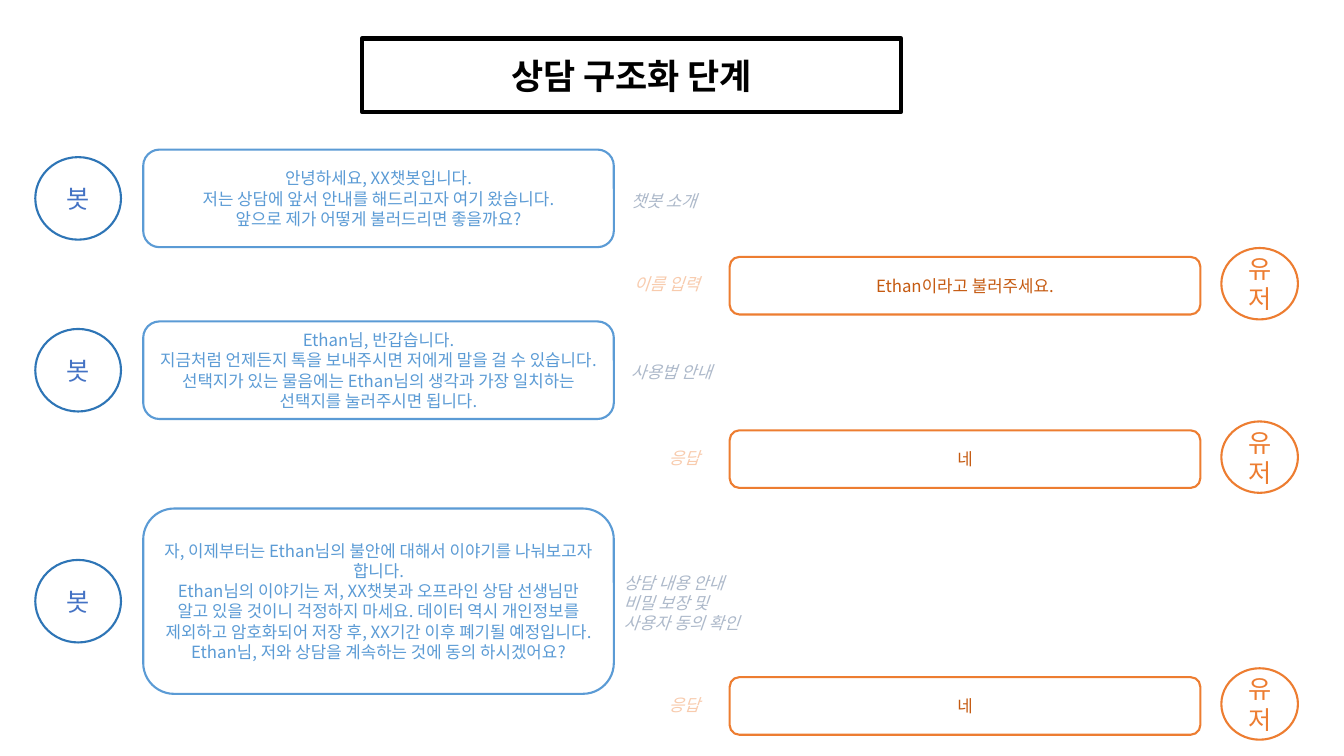
"""Builds a slide showing the opening turns of a counselling chatbot."""
from dataclasses import dataclass

from lxml.etree import SubElement
from pptx import Presentation
from pptx.dml.color import RGBColor
from pptx.enum.shapes import MSO_SHAPE as SHAPE
from pptx.enum.text import MSO_ANCHOR as ANCHOR, MSO_AUTO_SIZE as AUTO, PP_ALIGN as ALIGN
from pptx.oxml.ns import qn
from pptx.util import Cm, Pt

FONT = "Noto Sans CJK KR"
BLACK = RGBColor(0x00, 0x00, 0x00)
WHITE = RGBColor(0xFF, 0xFF, 0xFF)
BLUE = RGBColor(0x5B, 0x9B, 0xD5)
DARK_BLUE = RGBColor(0x2E, 0x75, 0xB6)
INDIGO = RGBColor(0x44, 0x72, 0xC4)
GREY = RGBColor(0xAD, 0xB9, 0xCA)
ORANGE = RGBColor(0xED, 0x7D, 0x31)
RUST = RGBColor(0xC5, 0x5A, 0x11)
PEACH = RGBColor(0xF8, 0xCB, 0xAD)


@dataclass
class Speaker:
    """Column places in centimetres and colours of one side of the chat."""
    name: str
    bubble_left: float
    badge_box: tuple
    badge_shift: float
    note_shift: float
    note_align: ALIGN
    bubble_fill: RGBColor | None
    bubble_line: RGBColor
    bubble_text: RGBColor
    badge_line: RGBColor
    badge_text: RGBColor
    note_text: RGBColor


BOT = Speaker("봇", 3.61, (0.89, 2.16, 2.08), 0, 0.05, ALIGN.LEFT,
              None, BLUE, BLUE, DARK_BLUE, INDIGO, GREY)
USER = Speaker("유저", 18.39, (30.78, 1.93, 1.8), -0.05, -0.04, ALIGN.RIGHT,
               WHITE, ORANGE, RUST, ORANGE, ORANGE, PEACH)
BUBBLE_WIDTH = 11.86
NOTE_WIDTH = 3.96

TURNS = [
    (BOT, 5, 2.46,
     ["안녕하세요, XX챗봇입니다.\n저는 상담에 앞서 안내를 해드리고자 여기 왔습니다.\n"
      "앞으로 제가 어떻게 불러드리면 좋을까요?"],
     15.65, 0.76, ["챗봇 소개"]),
    (BOT, 9.33, 2.46,
     ["Ethan님, 반갑습니다.\n지금처럼 언제든지 톡을 보내주시면 저에게 말을 걸 수 있습니다. "
      "선택지가 있는 물음에는 Ethan님의 생각과 가장 일치하는 선택지를 눌러주시면 됩니다."],
     15.65, 0.76, ["사용법 안내"]),
    (USER, 7.2, 1.45, ["Ethan이라고 불러주세요."], 13.92, 0.76, ["이름 입력"]),
    (USER, 11.57, 1.45, ["네"], 13.92, 0.76, ["응답"]),
    (BOT, 15.15, 4.67,
     ["자, 이제부터는 Ethan님의 불안에 대해서 이야기를 나눠보고자 합니다.",
      "Ethan님의 이야기는 저, XX챗봇과 오프라인 상담 선생님만 알고 있을 것이니 걱정하지 마세요. "
      "데이터 역시 개인정보를 제외하고 암호화되어 저장 후, XX기간 이후 폐기될 예정입니다. "
      "Ethan님, 저와 상담을 계속하는 것에 동의 하시겠어요?"],
     15.47, 1.8, ["상담 내용 안내", "비밀 보장 및", "사용자 동의 확인"]),
    (USER, 17.79, 1.45, ["네"], 13.92, 0.76, ["응답"]),
]


def write(sp, paragraphs, size, color, align=ALIGN.CENTER, bold=False, italic=False):
    """Fill a shape with paragraphs, where a newline is a line break."""
    tf = sp.text_frame
    tf.word_wrap = True
    for i, text in enumerate(paragraphs):
        p = tf.add_paragraph() if i else tf.paragraphs[0]
        p.alignment = align
        for j, line in enumerate(text.split("\n")):
            if j:
                p.add_line_break()
            r = p.add_run()
            r.text = line
            r.font.name = FONT
            r.font.size = Pt(size)
            r.font.bold = bold
            r.font.italic = italic
            r.font.color.rgb = color
            SubElement(r.font._element, qn("a:ea"), typeface=FONT)


def add_title(slide, text):
    """Format the title placeholder as a framed heading."""
    sp = slide.shapes.title
    sp.left, sp.top, sp.width, sp.height = Cm(9.12), Cm(0.97), Cm(13.59), Cm(1.85)
    geom = SubElement(sp._element.spPr, qn("a:prstGeom"), prst="roundRect")
    SubElement(geom, qn("a:avLst"))
    sp.line.color.rgb = BLACK
    sp.line.width = Pt(3)
    sp.text_frame.vertical_anchor = ANCHOR.MIDDLE
    write(sp, [text], 25, BLACK, bold=True)


def add_outline(slide, kind, left, middle, width, height, line, fill=None):
    """Add an outlined shape centred vertically on middle."""
    sp = slide.shapes.add_shape(kind, Cm(left), Cm(middle - height / 2), Cm(width), Cm(height))
    sp.shadow.inherit = False
    if fill is None:
        sp.fill.background()
    else:
        sp.fill.solid()
        sp.fill.fore_color.rgb = fill
    sp.line.color.rgb = line
    sp.line.width = Pt(1.5)
    sp.text_frame.vertical_anchor = ANCHOR.MIDDLE
    return sp


def add_note(slide, left, middle, height, paragraphs, color, align):
    """Add the italic label beside a bubble."""
    sp = slide.shapes.add_textbox(Cm(left), Cm(middle - height / 2), Cm(NOTE_WIDTH), Cm(height))
    sp.text_frame.auto_size = AUTO.SHAPE_TO_FIT_TEXT
    write(sp, paragraphs, 12, color, align, italic=True)


def add_turn(slide, who, middle, height, speech, note_left, note_height, note):
    """Add one chat turn: bubble, speaker badge and note."""
    bubble = add_outline(slide, SHAPE.ROUNDED_RECTANGLE, who.bubble_left, middle,
                         BUBBLE_WIDTH, height, who.bubble_line, who.bubble_fill)
    write(bubble, speech, 12, who.bubble_text)
    left, width, badge_height = who.badge_box
    badge = add_outline(slide, SHAPE.OVAL, left, middle + who.badge_shift,
                        width, badge_height, who.badge_line)
    write(badge, [who.name], 18, who.badge_text)
    add_note(slide, note_left, middle + who.note_shift, note_height, note,
             who.note_text, who.note_align)


def main():
    """Build and save the slide."""
    prs = Presentation()
    prs.slide_width, prs.slide_height = Cm(33.87), Cm(19.05)
    slide = prs.slides.add_slide(prs.slide_layouts[5])
    add_title(slide, "상담 구조화 단계")
    for turn in TURNS:
        add_turn(slide, *turn)
    prs.save("out.pptx")


if __name__ == "__main__":
    main()
